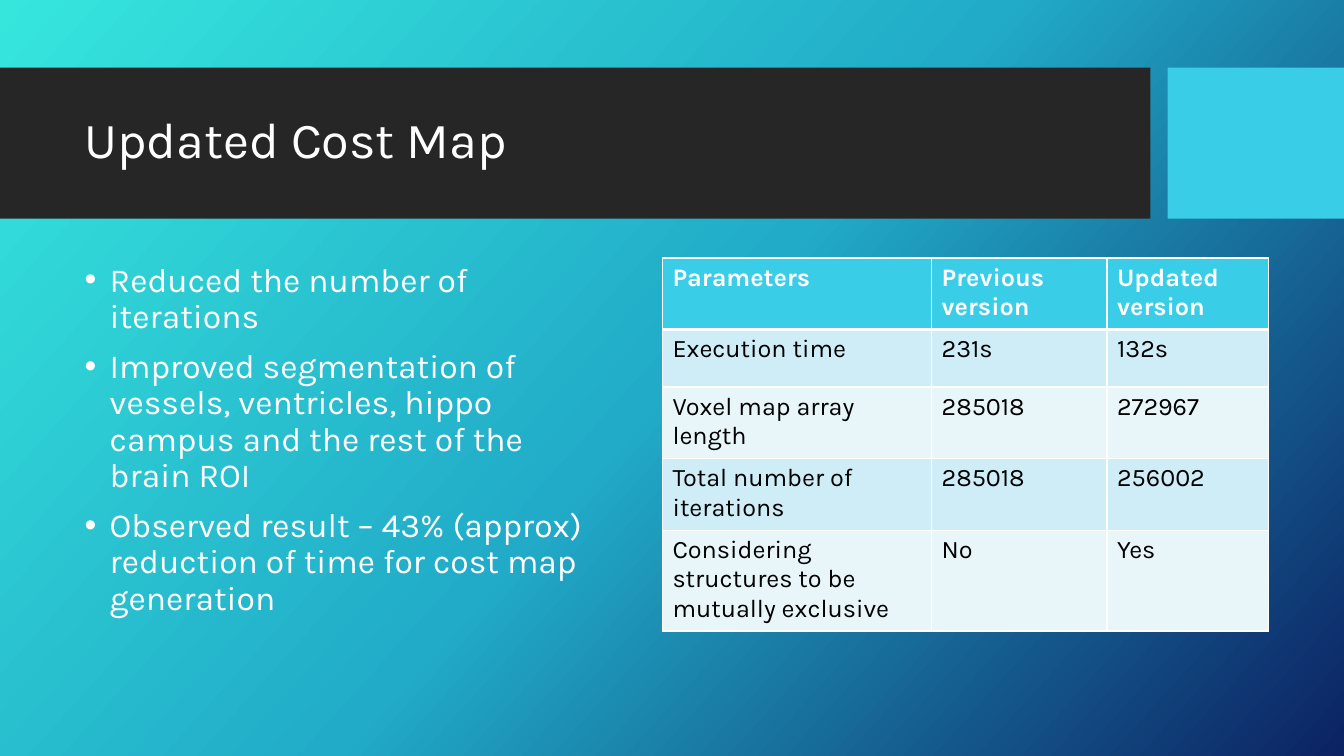
from copy import deepcopy

from pptx import Presentation
from pptx.dml.color import RGBColor
from pptx.enum.shapes import MSO_SHAPE as Shape
from pptx.enum.text import MSO_ANCHOR as Anchor
from pptx.oxml.ns import qn
from pptx.oxml import parse_xml
from pptx.util import Inches, Pt

FONT = "Karla"
WHITE, BLACK, DARK, CYAN = "FFFFFF", "000000", "262626", "39CDE7"
BANDS = ["CEEDF6", "E8F6FA"]
BACKGROUND = [(0, "36E6DD"), (0.5, "21ABC8"), (1, "0C2263")]
DRAWING = "http://schemas.openxmlformats.org/drawingml/2006/main"

POINTS = [
    "Reduced the number of iterations",
    "Improved segmentation of vessels, ventricles, hippo campus and the rest of the brain ROI",
    "Observed result – 43% (approx) reduction of time for cost map generation",
]
COLUMNS = [2.67, 1.74, 1.6]
ROWS = [
    (0.71, ["Parameters", "Previous version", "Updated version"]),
    (0.57, ["Execution time", "231s", "132s"]),
    (0.71, ["Voxel map array length", "285018", "272967"]),
    (0.71, ["Total number of iterations", "285018", "256002"]),
    (0.98, ["Considering structures to be mutually exclusive", "No", "Yes"]),
]


def color(value):
    return RGBColor.from_string(value)


def paint_background(page):
    fill = page.background.fill
    fill.gradient()
    fill.gradient_angle = 360 - 42
    stops = page.element.find(".//" + qn("a:gsLst"))
    stops.insert(1, deepcopy(stops[0]))
    for stop, (position, value) in zip(fill.gradient_stops, BACKGROUND):
        stop.position = position
        stop.color.rgb = color(value)


def add_block(page, left, top, width, height, fill):
    block = page.shapes.add_shape(
        Shape.RECTANGLE, Inches(left), Inches(top), Inches(width), Inches(height))
    block.shadow.inherit = False
    block.fill.solid()
    block.fill.fore_color.rgb = color(fill)
    block.line.fill.background()


def write(para, text, size, value=WHITE, bold=False):
    span = para.add_run()
    span.text = text
    span.font.color.rgb = color(value)
    formats = {"name": FONT, "size": Pt(size), "bold": bold}
    for name, setting in formats.items():
        setattr(span.font, name, setting)


def add_bullet(para):
    properties = para._p.get_or_add_pPr()
    properties.set("marL", str(Inches(0.25)))
    properties.set("indent", str(Inches(-0.25)))
    properties.append(parse_xml(f'<a:buFont xmlns:a="{DRAWING}" typeface="Arial"/>'))
    properties.append(parse_xml(f'<a:buChar xmlns:a="{DRAWING}" char="•"/>'))


def add_text(page, left, top, width, height, lines, size, anchor=Anchor.TOP, bullets=False):
    box = page.shapes.add_textbox(Inches(left), Inches(top), Inches(width), Inches(height))
    frame = box.text_frame
    frame.word_wrap = True
    frame.vertical_anchor = anchor
    for index, line in enumerate(lines):
        para = frame.add_paragraph() if index else frame.paragraphs[0]
        if bullets:
            add_bullet(para)
        para.line_spacing = 0.9
        if index:
            para.space_before = Pt(10)
        write(para, line, size)


def set_borders(cell, widths):
    properties = cell._tc.get_or_add_tcPr()
    for side, width in widths.items():
        properties.append(parse_xml(
            f'<a:ln{side} xmlns:a="{DRAWING}" w="{Pt(width)}"><a:solidFill>'
            f'<a:srgbClr val="{WHITE}"/></a:solidFill></a:ln{side}>'))


def add_comparison(page, left, top):
    height = sum(size for size, _ in ROWS)
    table = page.shapes.add_table(
        len(ROWS), len(COLUMNS), Inches(left), Inches(top),
        Inches(sum(COLUMNS)), Inches(height)).table
    for column, width in zip(table.columns, COLUMNS):
        column.width = Inches(width)
    for row, (size, texts) in enumerate(ROWS):
        table.rows[row].height = Inches(size)
        header = row == 0
        for column, text in enumerate(texts):
            cell = table.cell(row, column)
            # The rule under the header is heavier than the rest
            set_borders(cell, {"L": 1, "R": 1, "T": 3 if row == 1 else 1, "B": 3 if header else 1})
            cell.fill.solid()
            cell.fill.fore_color.rgb = color(CYAN if header else BANDS[(row - 1) % 2])
            write(cell.text_frame.paragraphs[0], text, 18, WHITE if header else BLACK, header)


def main():
    deck = Presentation()
    deck.slide_width, deck.slide_height = Inches(13.33), Inches(7.5)
    page = deck.slides.add_slide(deck.slide_layouts[6])
    paint_background(page)

    # Title band
    add_block(page, 0, 0.67, 11.41, 1.5, DARK)
    add_block(page, 11.58, 0.67, 1.75, 1.5, CYAN)
    add_text(page, 0.74, 0.82, 10.51, 1.18, ["Updated Cost Map"], 36, Anchor.MIDDLE)

    # Findings and comparison
    add_text(page, 0.74, 2.56, 5.14, 3.94, POINTS, 24, bullets=True)
    add_comparison(page, 6.57, 2.56)
    deck.save("out.pptx")


if __name__ == "__main__":
    main()
